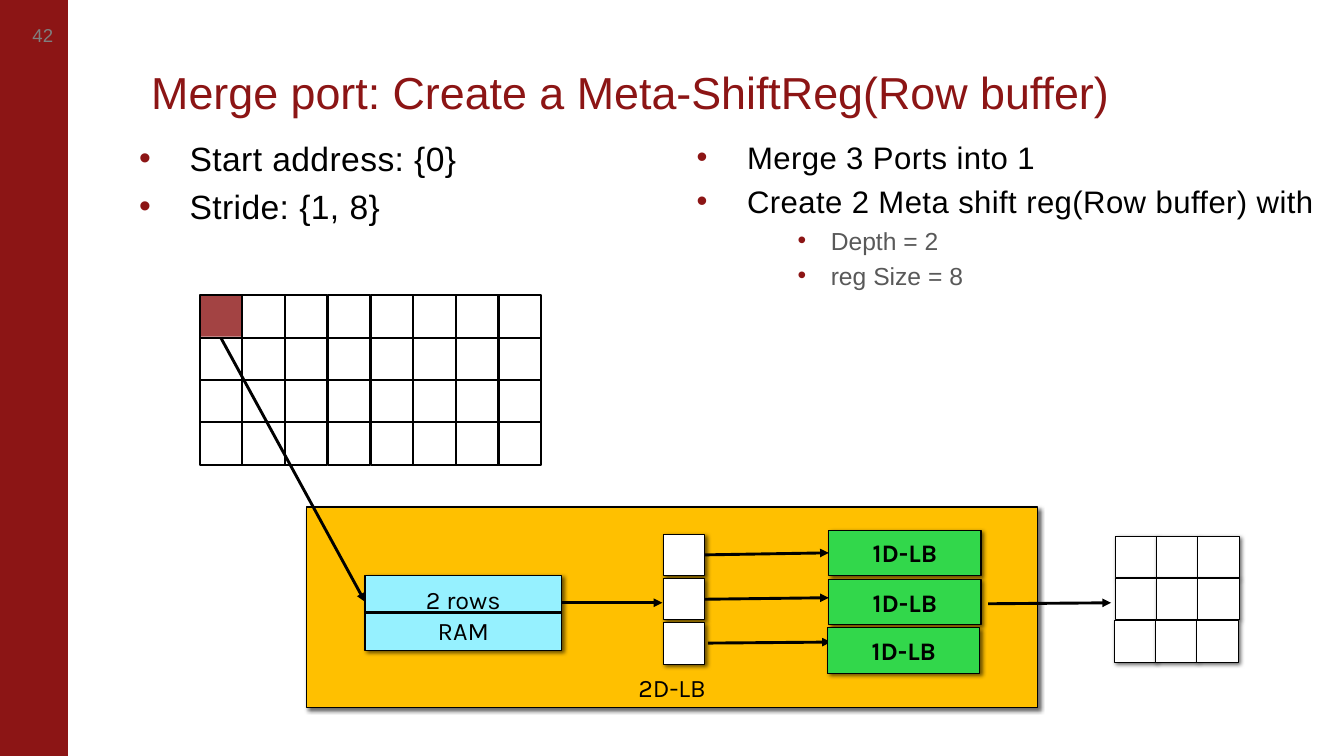
from lxml import etree
from pptx import Presentation
from pptx.dml.color import RGBColor
from pptx.enum.shapes import MSO_CONNECTOR, MSO_SHAPE
from pptx.enum.text import MSO_ANCHOR, PP_ALIGN
from pptx.oxml.ns import qn
from pptx.util import Inches, Pt

RECT, LINE = MSO_SHAPE.RECTANGLE, MSO_CONNECTOR.STRAIGHT
TOP, MID, BOTTOM = MSO_ANCHOR.TOP, MSO_ANCHOR.MIDDLE, MSO_ANCHOR.BOTTOM
CENTER = PP_ALIGN.CENTER
LEFT_SIDE, BOTTOM_SIDE, RIGHT_SIDE = 1, 2, 3

COLORS = {"red": "8C1515", "black": "000000", "white": "FFFFFF", "gray": "7F7F7F",
          "dark": "595959", "amber": "FFC000", "cyan": "96F1FF", "green": "32D74B"}

PAGE = "42"
TITLE = "Merge port: Create a Meta-ShiftReg(Row buffer)"
# Bullets: text, size, color, left margin, hanging indent, letter spacing (1/100 pt)
ACCESS = [(text, 24, "black", 0.5, 0.5, 30) for text in ("Start address: {0}", "Stride: {1, 8}")]
MERGE = [
    ("Merge 3 Ports into 1", 22.2, "black", 0.5, 0.5, 30),
    ("Create 2 Meta shift reg(Row buffer) with", 22.2, "black", 0.5, 0.5, 30),
    ("Depth = 2", 17.6, "dark", 1.33, 0.33, 0),
    ("reg Size = 8", 17.6, "dark", 1.33, 0.33, 0),
]
BUFFER, RAM, LANE = "2D-LB", "2 rows\nRAM", "1D-LB"
LANES = [(8.22, 5.26), (8.22, 5.75), (8.21, 6.23)]
WINDOW = [(11.06, 5.32), (11.06, 5.74), (11.05, 6.16)]
PIXEL, REG = 0.42, 0.41

prs = Presentation()
prs.slide_width, prs.slide_height = Inches(13.33), Inches(7.5)
slide = prs.slides.add_slide(prs.slide_layouts[6])
shapes = slide.shapes


def rgb(name):
    return RGBColor.from_string(COLORS[name])


def sub(parent, tag, **attrs):
    return etree.SubElement(parent, qn(tag), attrs)


def style(font, face, size, color, bold=False):
    font.name, font.size, font.bold = face, Pt(size), bold
    font.color.rgb = rgb(color)


def rect(x, y, w, h, fill=None, line="black", width=0.75, shadow=False):
    box = shapes.add_shape(RECT, Inches(x), Inches(y), Inches(w), Inches(h))
    box.shadow.inherit = False
    if fill:
        box.fill.solid()
        box.fill.fore_color.rgb = rgb(fill)
    else:
        box.fill.background()
    if line:
        box.line.color.rgb = rgb(line)
        box.line.width = Pt(width)
    else:
        box.line.fill.background()
    if shadow:
        effects = box._element.spPr.find(qn("a:effectLst"))
        outer = sub(effects, "a:outerShdw", blurRad=str(Pt(3)), dist=str(Pt(2)),
                    dir="2700000", algn="tl", rotWithShape="0")
        sub(sub(outer, "a:srgbClr", val=COLORS["black"]), "a:alpha", val="60000")
    return box


def block(x, y, w, h, fill, text="", anchor=MID, bold=False):
    """Shadowed diagram box with an optional centered label."""
    box = rect(x, y, w, h, fill, shadow=True)
    if text:
        frame = box.text_frame
        frame.text, frame.vertical_anchor, frame.word_wrap = text, anchor, True
        for para in frame.paragraphs:
            para.alignment = CENTER
            style(para.font, "Karla", 18, "black", bold)
    return box


def link(start, end, arrow=True, begin=None, finish=None):
    """Line between two points; begin and finish are (shape, side) joints."""
    line = shapes.add_connector(LINE, *map(Inches, start + end))
    if begin:
        line.begin_connect(*begin)
    if finish:
        line.end_connect(*finish)
    line.line.color.rgb = rgb("black")
    line.line.width = Pt(2.08)
    if arrow:
        sub(line.line._get_or_add_ln(), "a:tailEnd", type="triangle")
    sub(line._element.spPr, "a:effectLst")


def textbox(x, y, w, h, insets, anchor=TOP, wrap=True):
    frame = shapes.add_textbox(Inches(x), Inches(y), Inches(w), Inches(h)).text_frame
    frame.word_wrap, frame.vertical_anchor = wrap, anchor
    (frame.margin_left, frame.margin_top,
     frame.margin_right, frame.margin_bottom) = map(Inches, insets)
    return frame


def bullets(x, y, w, h, items):
    frame = textbox(x, y, w, h, (0, 0.05, 0, 0.05))
    for i, (text, size, color, left, hang, gap) in enumerate(items):
        para = frame.add_paragraph() if i else frame.paragraphs[0]
        para.text = text
        para.space_before = Pt(round(0.23 * size, 1) if i else 0)
        props = para._p.get_or_add_pPr()
        props.set("marL", str(Inches(left)))
        props.set("indent", str(-Inches(hang)))
        sub(sub(props, "a:buClr"), "a:srgbClr", val=COLORS["red"])
        sub(props, "a:buFont", typeface="Arial")
        sub(props, "a:buChar", char="•")
        run = para.runs[0]
        style(run.font, "Arial", size, color)
        run._r.get_or_add_rPr().set("spc", str(gap))


# Side band, page number and text
rect(0, 0, 0.67, 7.51, "red", "red")
page = textbox(0.09, 0.01, 0.67, 0.67, (0.07, 0, 0.07, 0), MID, False)
page.text = PAGE
page.paragraphs[0].alignment = CENTER
style(page.paragraphs[0].runs[0].font, "Arial", 13.3, "gray")

title = textbox(1.38, 0.52, 11.24, 0.71, (0.12, 0.05, 0.1, 0.05), BOTTOM)
title.text = TITLE
title.paragraphs[0].line_spacing = 0.85
style(title.paragraphs[0].runs[0].font, "Arial", 32, "red")

bullets(1.38, 1.32, 5.52, 1.7, ACCESS)
bullets(6.91, 1.32, 6.22, 1.79, MERGE)

# Image grid with its first pixel marked
mark = rect(1.99, 2.92, PIXEL, PIXEL, "red", None)
tint = mark._element.spPr.find(qn("a:solidFill"))[0]
sub(tint, "a:alpha", val="80000")
pixels = [rect(1.98 + col * 0.424, 2.93 + row * PIXEL, PIXEL, PIXEL, width=1.5)
          for row in range(4) for col in range(8)]

# Row buffer
block(3.04, 5.03, 7.25, 1.99, "amber", BUFFER, BOTTOM)
link((2.19, 3.35), (3.62, 5.97), begin=(pixels[0], BOTTOM_SIDE))
ram = block(3.62, 5.71, 1.95, 0.74, "cyan", RAM, BOTTOM)
link((3.62, 6.08), (5.57, 6.08), False, (ram, LEFT_SIDE), (ram, RIGHT_SIDE))
link((5.57, 5.98), (6.57, 5.98))
regs = [block(6.58, 5.3 + row * 0.44, REG, REG, "white") for row in range(3)]
link((6.99, 5.94), (8.22, 5.93), begin=(regs[1], RIGHT_SIDE))
link((7.02, 6.38), (8.24, 6.37))
lanes = [block(x, y, 1.51, 0.45, "green", LANE, bold=True) for x, y in LANES]
link((6.99, 5.5), (8.22, 5.49), begin=(regs[0], RIGHT_SIDE), finish=(lanes[0], LEFT_SIDE))

# Output window
link((9.8, 5.99), (11.02, 5.98))
for x, y in WINDOW:
    for col in range(3):
        block(x + col * REG, y, REG, REG, "white")

prs.save("out.pptx")
